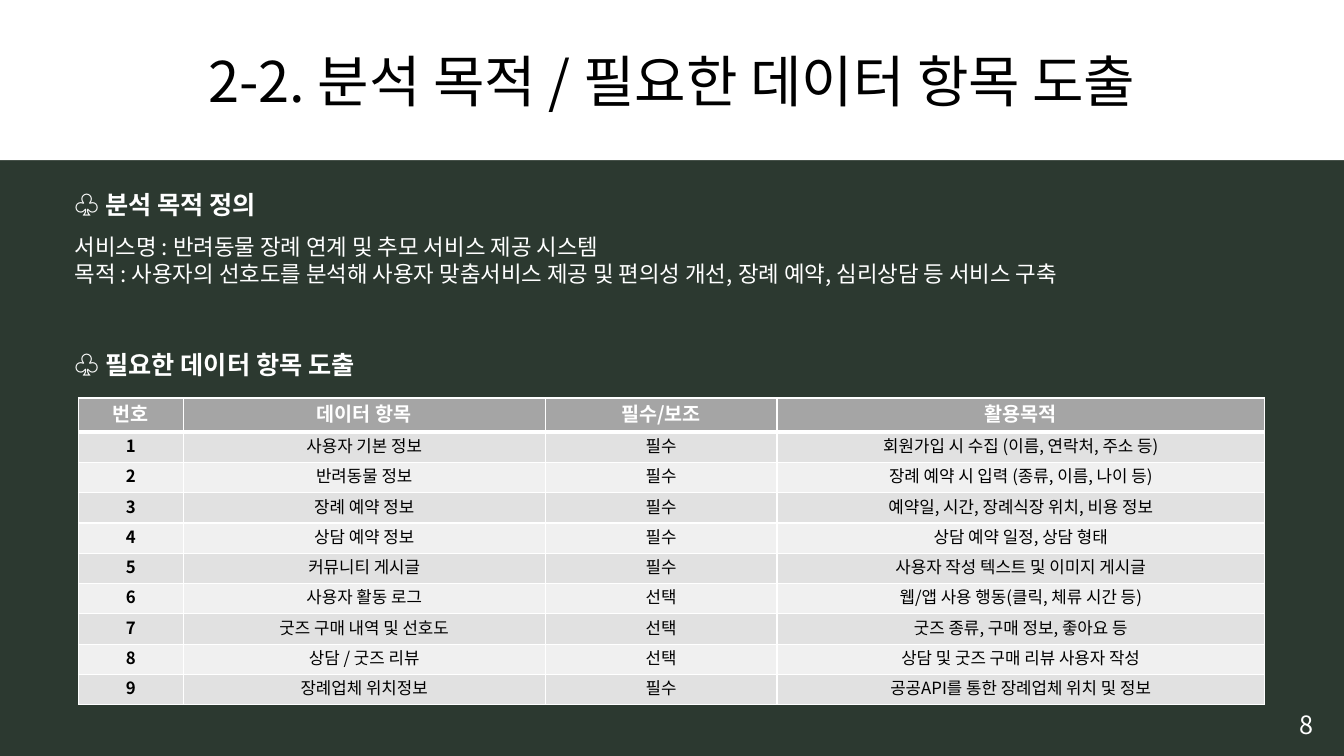
from dataclasses import dataclass

from lxml.etree import SubElement
from pptx import Presentation
from pptx.dml.color import RGBColor
from pptx.enum.shapes import MSO_SHAPE
from pptx.enum.text import MSO_ANCHOR, PP_ALIGN
from pptx.oxml.ns import qn
from pptx.slide import Slide
from pptx.table import _Cell
from pptx.text.text import TextFrame, _Paragraph
from pptx.util import Cm, Pt

FONT = "Noto Sans CJK KR"
LINE_HEIGHT = 1.2  # line pitch relative to the text size
COLORS = {
    "background": "2C3930",
    "white": "FFFFFF",
    "black": "000000",
    "header": "A5A5A5",
    "odd_row": "E1E1E1",
    "even_row": "F0F0F0",
}


@dataclass
class Line:
    text: str
    size: int
    color: str = "white"
    bold: bool = False
    centered: bool = False
    spacing: float = 1.0


@dataclass
class TextBox:
    left: float
    top: float
    width: float
    height: float
    lines: list[Line]
    wrap: bool = True


TITLE = Line("2-2. 분석 목적 / 필요한 데이터 항목 도출", 40, "black", centered=True)
TEXT_BOXES = [
    TextBox(31.98, 17.75, 1.88, 1.02, [Line("8", 18, centered=True)]),
    TextBox(1.63, 4.65, 30.63, 2.74, [
        Line("♧ 분석 목적 정의", 18, bold=True),
        Line("서비스명 : 반려동물 장례 연계 및 추모 서비스 제공 시스템", 16, spacing=1.5),
        Line("목적 : 사용자의 선호도를 분석해 사용자 맞춤서비스 제공 및 편의성 개선, "
             "장례 예약, 심리상담 등 서비스 구축", 16),
    ]),
    TextBox(1.63, 8.69, 8.48, 1.02,
            [Line("♧ 필요한 데이터 항목 도출", 18, bold=True)], wrap=False),
]

COLUMN_WIDTHS = [2.64, 9.12, 5.84, 12.29]
HEADER_HEIGHT, ROW_HEIGHT = 0.86, 0.76
HEADER = ("번호", "데이터 항목", "필수/보조", "활용목적")
DATA_ITEMS = [
    ("사용자 기본 정보", "필수", "회원가입 시 수집 (이름, 연락처, 주소 등)"),
    ("반려동물 정보", "필수", "장례 예약 시 입력 (종류, 이름, 나이 등)"),
    ("장례 예약 정보", "필수", "예약일, 시간, 장례식장 위치, 비용 정보"),
    ("상담 예약 정보", "필수", "상담 예약 일정, 상담 형태"),
    ("커뮤니티 게시글", "필수", "사용자 작성 텍스트 및 이미지 게시글"),
    ("사용자 활동 로그", "선택", "웹/앱 사용 행동(클릭, 체류 시간 등)"),
    ("굿즈 구매 내역 및 선호도", "선택", "굿즈 종류, 구매 정보, 좋아요 등"),
    ("상담 / 굿즈 리뷰", "선택", "상담 및 굿즈 구매 리뷰 사용자 작성"),
    ("장례업체 위치정보", "필수", "공공API를 통한 장례업체 위치 및 정보"),
]


def rgb(name: str) -> RGBColor:
    return RGBColor.from_string(COLORS[name])


def write_line(para: _Paragraph, line: Line) -> None:
    para.alignment = PP_ALIGN.CENTER if line.centered else PP_ALIGN.LEFT
    para.line_spacing = Pt(round(line.size * LINE_HEIGHT * line.spacing, 1))
    span = para.add_run()
    span.text = line.text
    span.font.size = Pt(line.size)
    span.font.bold = line.bold
    span.font.color.rgb = rgb(line.color)
    span.font.name = FONT
    # Korean and symbol glyphs take the same typeface
    for tag in ("a:ea", "a:sym"):
        SubElement(span.font._element, qn(tag)).set("typeface", FONT)


def write_lines(frame: TextFrame, lines: list[Line]) -> None:
    for index, line in enumerate(lines):
        para = frame.add_paragraph() if index else frame.paragraphs[0]
        write_line(para, line)


def add_title_band(page: Slide) -> None:
    band = page.shapes.add_shape(MSO_SHAPE.RECTANGLE, 0, 0, Cm(33.87), Cm(4.04))
    band.shadow.inherit = False
    band.fill.solid()
    band.fill.fore_color.rgb = rgb("white")
    band.line.fill.background()
    band.text_frame.vertical_anchor = MSO_ANCHOR.MIDDLE
    write_lines(band.text_frame, [TITLE])


def add_text_box(page: Slide, spot: TextBox) -> None:
    box = page.shapes.add_textbox(
        Cm(spot.left), Cm(spot.top), Cm(spot.width), Cm(spot.height))
    box.text_frame.word_wrap = spot.wrap
    write_lines(box.text_frame, spot.lines)


def set_borders(cell: _Cell, top: int, bottom: int) -> None:
    properties = cell._tc.get_or_add_tcPr()
    widths = {"a:lnL": 1, "a:lnR": 1, "a:lnT": top, "a:lnB": bottom}
    for tag, width in widths.items():
        border = SubElement(properties, qn(tag), w=str(Pt(width)))
        fill = SubElement(border, qn("a:solidFill"))
        SubElement(fill, qn("a:srgbClr"), val=COLORS["white"])


def add_data_table(page: Slide) -> None:
    rows = [HEADER] + [(str(number), *item)
                       for number, item in enumerate(DATA_ITEMS, 1)]
    height = HEADER_HEIGHT + ROW_HEIGHT * len(DATA_ITEMS)
    table = page.shapes.add_table(
        len(rows), len(HEADER), Cm(1.98), Cm(10.03),
        Cm(sum(COLUMN_WIDTHS)), Cm(height)).table
    table.horz_banding = False
    for column, width in zip(table.columns, COLUMN_WIDTHS):
        column.width = Cm(width)

    for row_index, texts in enumerate(rows):
        is_header = row_index == 0
        table.rows[row_index].height = Cm(HEADER_HEIGHT if is_header else ROW_HEIGHT)
        band = "odd_row" if row_index % 2 else "even_row"
        for column_index, text in enumerate(texts):
            cell = table.cell(row_index, column_index)
            cell.vertical_anchor = MSO_ANCHOR.MIDDLE
            # Borders precede the fill in the cell properties
            set_borders(cell, top=3 if row_index == 1 else 1,
                        bottom=3 if is_header else 1)
            cell.fill.solid()
            cell.fill.fore_color.rgb = rgb("header" if is_header else band)
            write_lines(cell.text_frame, [Line(
                text, 14 if is_header else 12, "white" if is_header else "black",
                bold=is_header or column_index == 0, centered=True)])


def main() -> None:
    deck = Presentation()
    deck.slide_width, deck.slide_height = Cm(33.87), Cm(19.05)
    page = deck.slides.add_slide(deck.slide_layouts[6])
    page.background.fill.solid()
    page.background.fill.fore_color.rgb = rgb("background")

    # Title, texts and table
    add_title_band(page)
    for spot in TEXT_BOXES:
        add_text_box(page, spot)
    add_data_table(page)
    deck.save("out.pptx")


if __name__ == "__main__":
    main()
